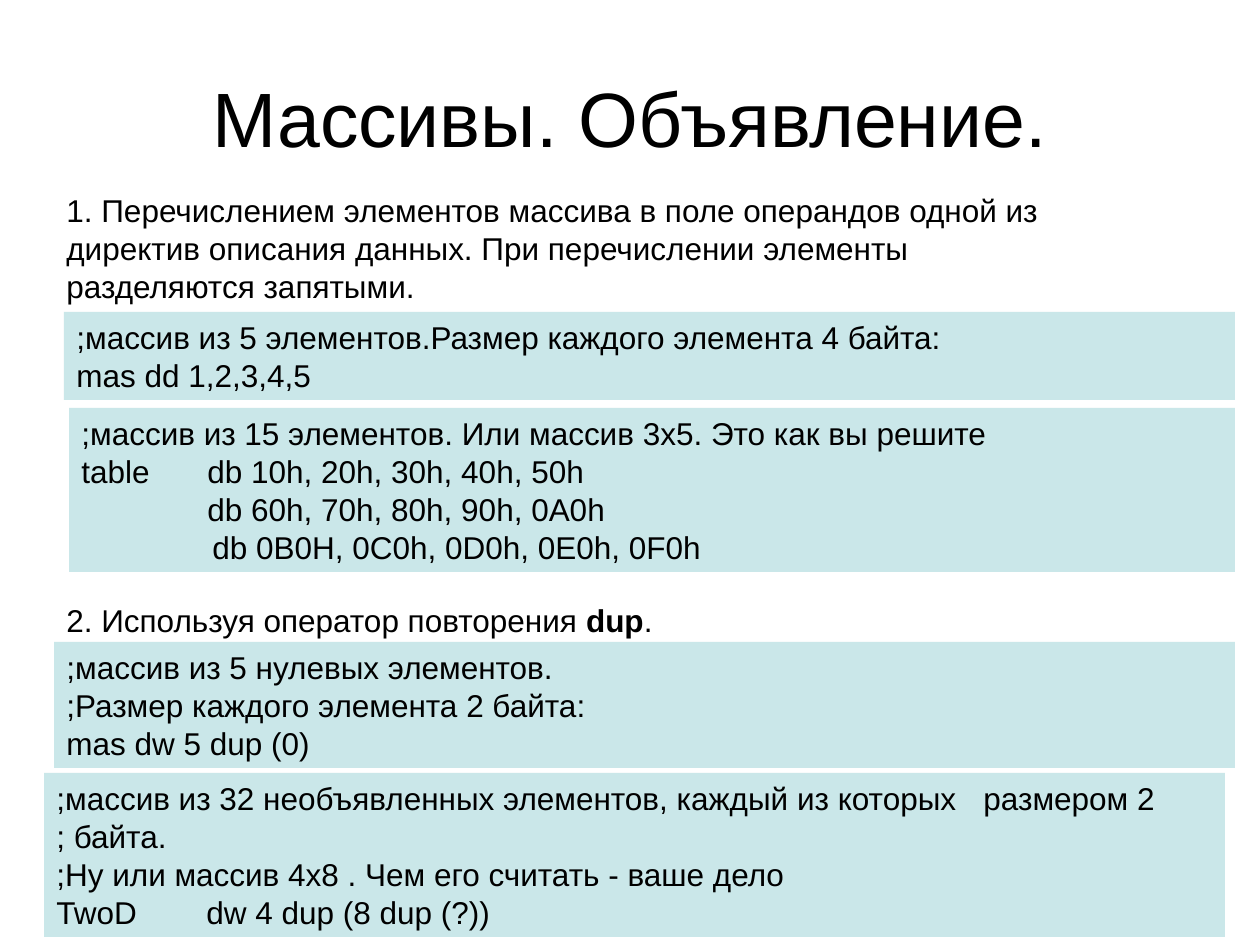
import lxml.etree
import pptx
import pptx.dml.color
import pptx.enum.shapes
import pptx.enum.text
import pptx.oxml.ns
import pptx.util

EMU_PER_PX = 914400 // 126
BLACK = pptx.dml.color.RGBColor(0x00, 0x00, 0x00)
PALE_TEAL = pptx.dml.color.RGBColor(0xBB, 0xE0, 0xE3)
qn = pptx.oxml.ns.qn


def px(length):
    return pptx.util.Emu(length * EMU_PER_PX)


def write(paragraph, text, size=18, bold=False, font="Arial", color=BLACK, tab=None):
    """Add a run; tab is the distance of a left tab stop in px."""
    run = paragraph.add_run()
    run.text = text
    run.font.name = font
    run.font.size = pptx.util.Pt(size)
    run.font.bold = bold
    run.font.color.rgb = color
    if tab:
        properties = paragraph._p.get_or_add_pPr()
        stops = lxml.etree.SubElement(properties, qn("a:tabLst"))
        lxml.etree.SubElement(stops, qn("a:tab"), pos=str(px(tab)), algn="l")


class LectureSlide:
    """A lecture slide with plain explanations and tinted code listings."""

    def __init__(self, deck):
        self.slide = deck.slides.add_slide(deck.slide_layouts[5])

    def title(self, text, left, top, width, height):
        heading = self.slide.shapes.title
        heading.left, heading.top = px(left), px(top)
        heading.width, heading.height = px(width), px(height)
        frame = heading.text_frame
        frame.vertical_anchor = pptx.enum.text.MSO_ANCHOR.MIDDLE
        frame.paragraphs[0].alignment = pptx.enum.text.PP_ALIGN.CENTER
        write(frame.paragraphs[0], text, size=44)

    def explanation(self, parts, left, top, width, height):
        """Parts are (text, bold) pairs of one paragraph."""
        note = self.slide.shapes.add_textbox(px(left), px(top), px(width), px(height))
        note.text_frame.word_wrap = True
        for text, bold in parts:
            write(note.text_frame.paragraphs[0], text, bold=bold)

    def listing(self, lines, left, top, width, height):
        """Lines are (text, tab stop) pairs, one paragraph each."""
        panel = self.slide.shapes.add_shape(
            pptx.enum.shapes.MSO_SHAPE.RECTANGLE,
            px(left), px(top), px(width), px(height))
        panel.shadow.inherit = False
        panel.line.fill.background()
        panel.fill.solid()
        panel.fill.fore_color.rgb = PALE_TEAL
        tint = panel._element.spPr.find(qn("a:solidFill"))[0]
        lxml.etree.SubElement(tint, qn("a:alpha"), val="77000")

        frame = panel.text_frame
        frame.word_wrap = True
        frame.vertical_anchor = pptx.enum.text.MSO_ANCHOR.TOP
        for number, (text, tab) in enumerate(lines):
            paragraph = frame.add_paragraph() if number else frame.paragraphs[0]
            paragraph.alignment = pptx.enum.text.PP_ALIGN.LEFT
            write(paragraph, text, tab=tab)


def main():
    deck = pptx.Presentation()
    deck.slide_width, deck.slide_height = px(1260), px(945)
    arrays = LectureSlide(deck)
    arrays.title("Массивы. Объявление.", 63, 38, 1134, 158)

    # Declaration by listing the elements
    arrays.explanation([
        ("1. Перечислением элементов массива в поле операндов одной из директив "
         "описания данных. При перечислении элементы разделяются запятыми.", False),
    ], 54, 185, 1038, 126)
    arrays.listing([
        (";массив из 5 элементов.Размер каждого элемента 4 байта:", None),
        ("mas dd 1,2,3,4,5", None),
    ], 64, 312, 1171, 88)

    # Declaration with the dup operator
    arrays.explanation([
        ("2. Используя оператор повторения ", False), ("dup", True), (".", False),
    ], 54, 595, 1038, 50)
    arrays.listing([
        (";массив из 5 нулевых элементов.", None),
        (";Размер каждого элемента 2 байта:", None),
        ("mas dw 5 dup (0)", None),
    ], 54, 642, 1181, 126)

    # Two-dimensional arrays, by listing and with dup
    arrays.listing([
        (";массив из 15 элементов. Или массив 3x5. Это как вы решите", None),
        ("table\tdb 10h, 20h, 30h, 40h, 50h", 126),
        ("\tdb 60h, 70h, 80h, 90h, 0A0h", 126),
        ("\tdb 0B0H, 0C0h, 0D0h, 0E0h, 0F0h", 131),
    ], 69, 408, 1166, 164)
    arrays.listing([
        (";массив из 32 необъявленных элементов, каждый из которых\tразмером 2", 927),
        ("; байта.", None),
        (";Ну или массив 4x8 . Чем его считать - ваше дело", None),
        ("TwoD\tdw 4 dup (8 dup (?))", 150),
    ], 44, 773, 1181, 164)

    deck.save("out.pptx")


if __name__ == "__main__":
    main()
